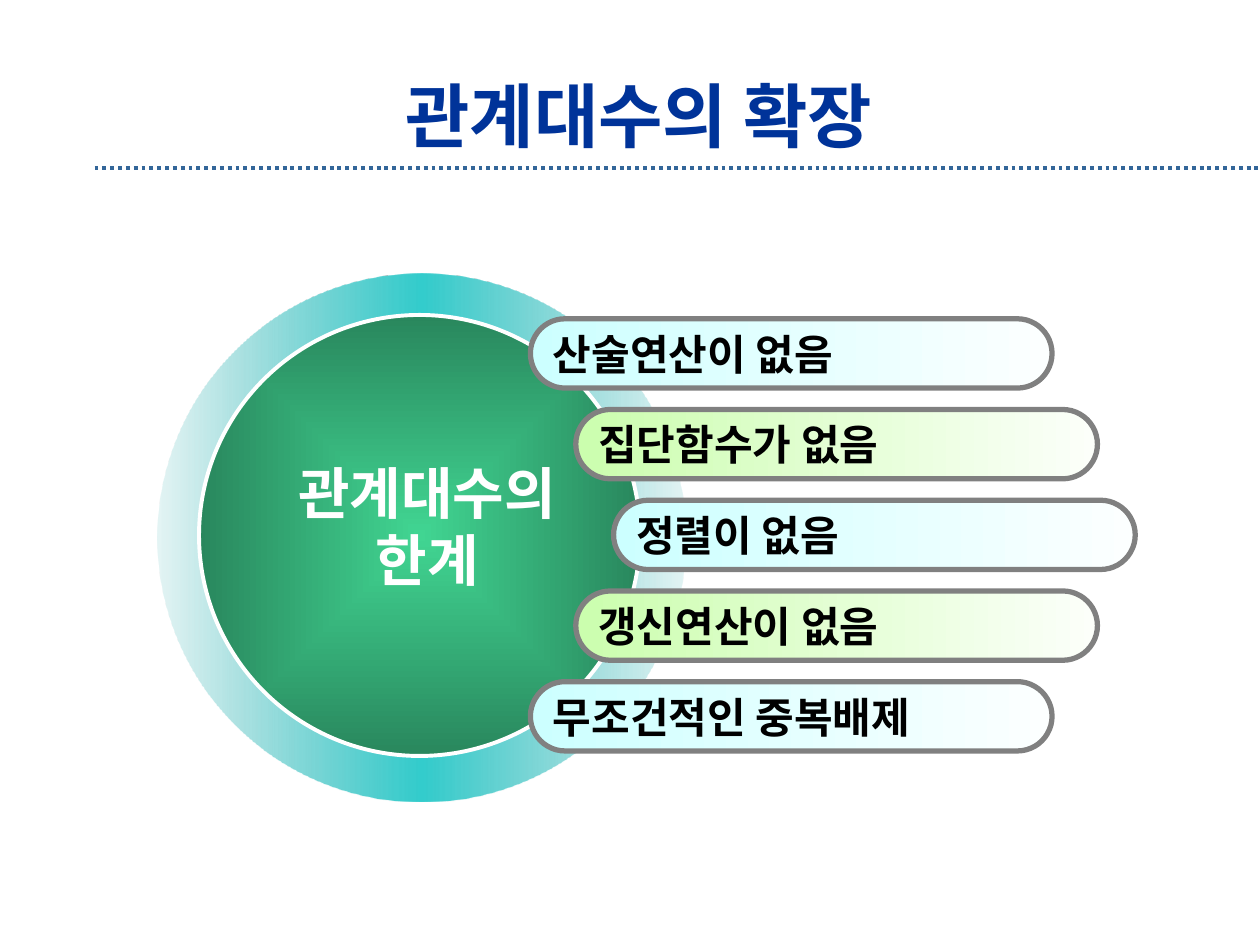
"""Build a slide listing the limits of relational algebra around a ring."""
import lxml.etree
import pptx
import pptx.dml.color
import pptx.enum.dml
import pptx.enum.shapes
import pptx.enum.text
import pptx.oxml
import pptx.oxml.ns
import pptx.util

Inches = pptx.util.Inches
Pt = pptx.util.Pt
qn = pptx.oxml.ns.qn
SHAPES = pptx.enum.shapes.MSO_SHAPE
ALIGN = pptx.enum.text.PP_ALIGN

FONT = "Noto Sans CJK KR"
TITLE = "관계대수의 확장"
CENTER_LINES = ["관계대수의", "한계"]
LIMITS = [
    ("산술연산이 없음", 4.21),
    ("집단함수가 없음", 4.57),
    ("정렬이 없음", 4.87),
    ("갱신연산이 없음", 4.57),
    ("무조건적인 중복배제", 4.21),
]
PILL_COLORS = [("CCFFFF", "FCFFFF"), ("CBFEAE", "FCFFFA")]
PILL_TOP, PILL_STEP, PILL_WIDTH, PILL_HEIGHT = 2.53, 0.72, 4.14, 0.55
LINEAR = '<a:lin ang="0" scaled="0"/>'
FROM_CENTER = ('<a:path path="shape"><a:fillToRect l="50000" t="50000" '
               'r="50000" b="50000"/></a:path>')


def rgb(value):
    return pptx.dml.color.RGBColor.from_string(value)


def set_gradient(shape, stops, direction=LINEAR):
    marks = "".join(
        f'<a:gs pos="{place * 1000}"><a:srgbClr val="{color}">'
        f'<a:alpha val="{opacity * 1000}"/></a:srgbClr></a:gs>'
        for place, color, opacity in stops)
    shape.fill.background()
    old = shape._element.spPr.find(qn("a:noFill"))
    old.getparent().replace(old, pptx.oxml.parse_xml(
        '<a:gradFill xmlns:a="http://schemas.openxmlformats.org/drawingml/2006/main" '
        f'rotWithShape="1"><a:gsLst>{marks}</a:gsLst>{direction}</a:gradFill>'))


def add_shape(page, kind, box, stops, direction=LINEAR, line=None):
    shape = page.shapes.add_shape(kind, *map(Inches, box))
    shape.shadow.inherit = False
    set_gradient(shape, stops, direction)
    if line:
        shape.line.color.rgb = rgb(line[0])
        shape.line.width = Pt(line[1])
    else:
        shape.line.fill.background()
    return shape


def write(shape, lines, size, color, align):
    frame = shape.text_frame
    frame.word_wrap = True
    frame.text = "\n".join(lines)
    for para in frame.paragraphs:
        para.alignment = align
        font = para.font
        font.size, font.bold, font.name = Pt(size), True, FONT
        font.color.rgb = rgb(color)
        latin = font._element.find(qn("a:latin"))
        east = lxml.etree.Element(qn("a:ea"), typeface=FONT)
        latin.addnext(east)


def add_text_shadow(shape):
    for para in shape.text_frame.paragraphs:
        for span in para.runs:
            effects = lxml.etree.SubElement(span.font._element, qn("a:effectLst"))
            shadow = lxml.etree.SubElement(
                effects, qn("a:outerShdw"), dist="35921", dir="2700000")
            lxml.etree.SubElement(shadow, qn("a:srgbClr"), val="000000")


def add_title(page):
    rule = page.shapes.add_connector(
        pptx.enum.shapes.MSO_CONNECTOR.STRAIGHT,
        Inches(0.75), Inches(1.33), Inches(10), Inches(1.33))
    rule.line.color.rgb = rgb("336699")
    rule.line.width = Pt(2.25)
    rule.line.dash_style = pptx.enum.dml.MSO_LINE.ROUND_DOT
    lxml.etree.SubElement(rule._element.spPr, qn("a:effectLst"))
    title = page.shapes.title
    title.left, title.top, title.width, title.height = map(
        Inches, (0.78, 0.62, 8.58, 0.58))
    title.text_frame.vertical_anchor = pptx.enum.text.MSO_ANCHOR.MIDDLE
    write(title, [TITLE], 40, "003399", ALIGN.CENTER)


def add_circles(page):
    ring = add_shape(page, SHAPES.DONUT, (1.25, 2.17, 4.19, 4.19),
                     [(0, "2BABAB", 12), (50, "33CCCC", 100), (100, "2BABAB", 12)])
    ring.adjustments[0] = 0.09
    add_shape(page, SHAPES.OVAL, (1.58, 2.5, 3.5, 3.5),
              [(0, "41D592", 100), (100, "29875D", 100)], FROM_CENTER, ("FFFFFF", 2.25))


def add_limits(page):
    for index, (text, left) in enumerate(LIMITS):
        start, end = PILL_COLORS[index % 2]
        pill = add_shape(
            page, SHAPES.ROUNDED_RECTANGLE,
            (left, PILL_TOP + index * PILL_STEP, PILL_WIDTH, PILL_HEIGHT),
            [(0, start, 100), (100, end, 100)], line=("808080", 3))
        pill.adjustments[0] = 0.5
        write(pill, [text], 24, "000000", ALIGN.LEFT)


def add_center_label(page):
    label = page.shapes.add_textbox(*map(Inches, (2.19, 3.59, 2.4, 1.18)))
    write(label, CENTER_LINES, 32, "FFFFFF", ALIGN.CENTER)
    add_text_shadow(label)


def main():
    deck = pptx.Presentation()
    deck.slide_width, deck.slide_height = Inches(10), Inches(7.5)
    page = deck.slides.add_slide(deck.slide_layouts[5])
    add_title(page)
    add_circles(page)
    add_limits(page)
    add_center_label(page)
    deck.save("out.pptx")


if __name__ == "__main__":
    main()
